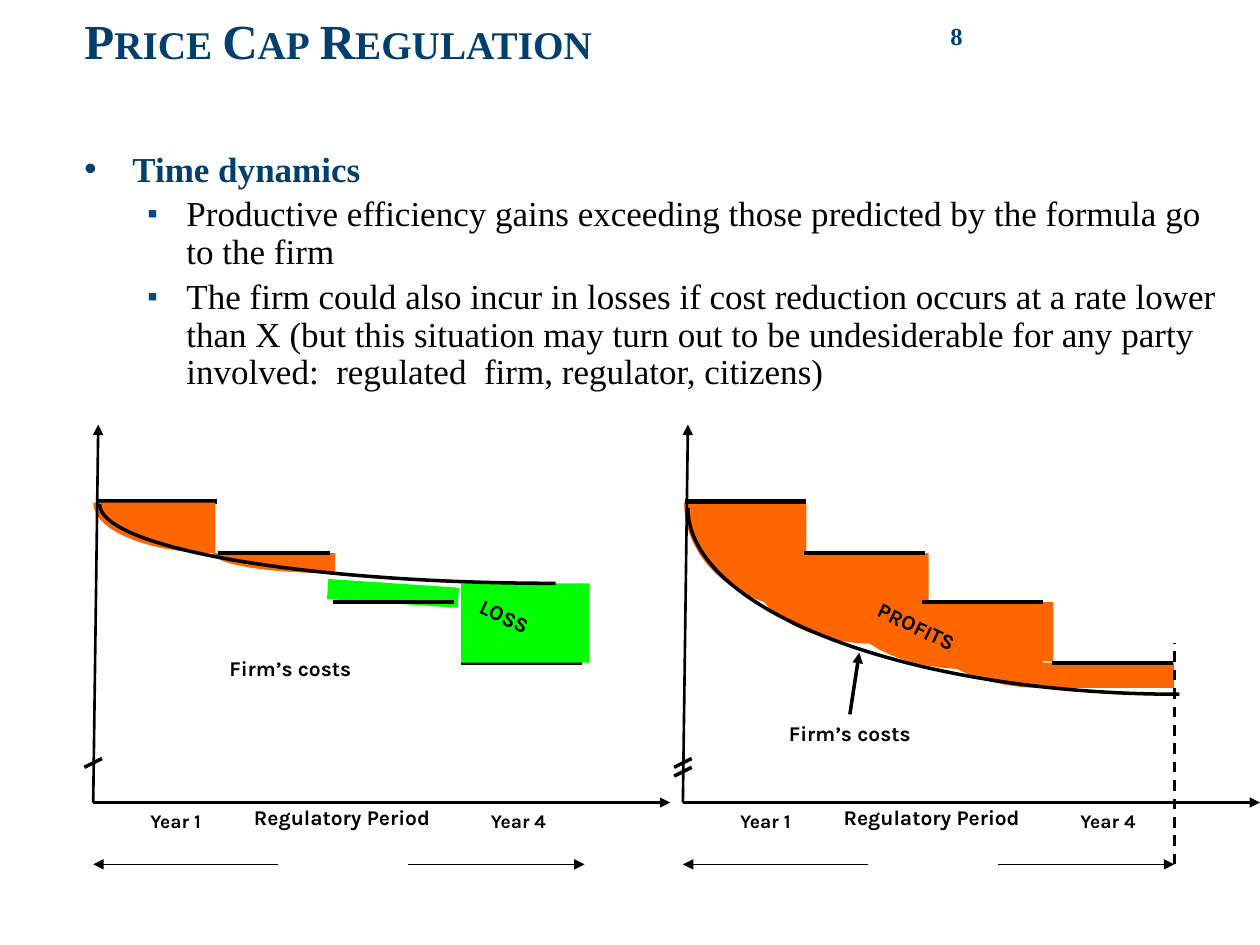
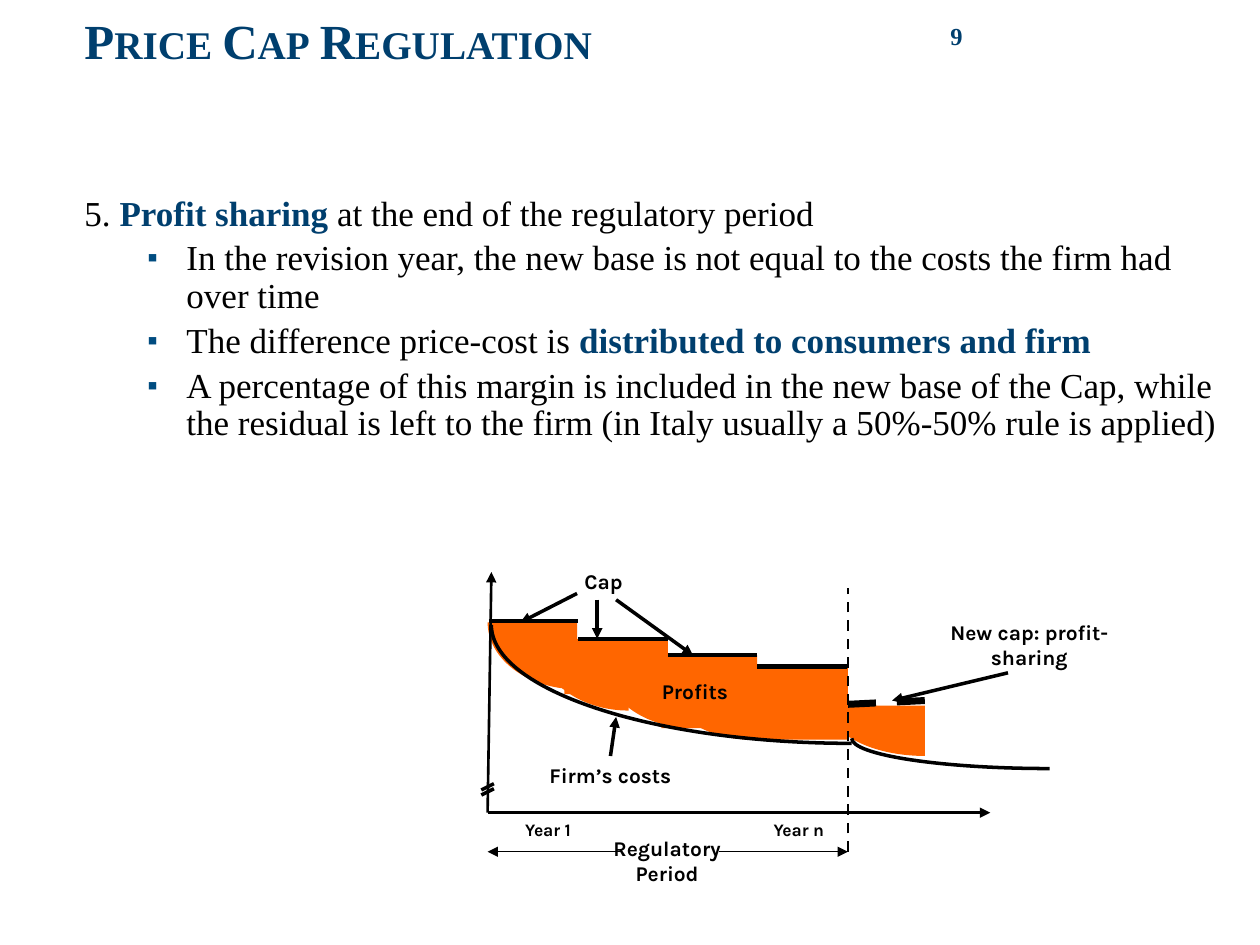
from dataclasses import dataclass

from lxml import etree
from pptx import Presentation
from pptx.dml.color import RGBColor
from pptx.enum.dml import MSO_LINE
from pptx.enum.shapes import MSO_CONNECTOR, MSO_SHAPE
from pptx.enum.text import MSO_ANCHOR, MSO_AUTO_SIZE, PP_ALIGN
from pptx.oxml.ns import qn
from pptx.util import Inches, Pt

STRAIGHT = MSO_CONNECTOR.STRAIGHT
RECTANGLE = MSO_SHAPE.RECTANGLE
DASH = MSO_LINE.DASH
TOP = MSO_ANCHOR.TOP
NO_FIT = MSO_AUTO_SIZE.NONE
LEFT, CENTER, RIGHT = PP_ALIGN.LEFT, PP_ALIGN.CENTER, PP_ALIGN.RIGHT

NAVY, BULLET_BLUE, BLACK = "003F6E", "004C80", "000000"
ORANGE, GREEN = "FF6600", "00FF00"
SERIF, LABEL_FONT = "Times New Roman", "Karla"
ARC_PULL = 0.55


@dataclass
class Box:
    """A rectangle in inches."""
    x: float
    y: float
    w: float
    h: float


@dataclass
class Line:
    """A straight line in inches, with its weight in points."""
    x1: float
    y1: float
    x2: float
    y2: float
    weight: float = 2
    arrow: bool = False
    dashed: bool = False


@dataclass
class Label:
    """A centred bold label."""
    text: str
    box: Box
    size: float = 12
    rotation: float = 0


@dataclass
class Item:
    """A list paragraph whose runs pair a text with its emphasis."""
    runs: list[tuple[str, bool]]
    level: int = 1
    bullet: str = "▪"


@dataclass
class Axes:
    """Axes of a cost diagram with its regulatory period below."""
    x: float
    y: float
    top: float
    lean: float
    width: float
    tick: float
    tick_ys: list[float]
    ruler_y: float
    ruler: tuple[float, float, float]
    years: list[Label]
    period: Label


def rgb(value: str) -> RGBColor:
    """Turn a hex string into a colour."""
    return RGBColor.from_string(value)


def style_run(r, font: str, size: float, color: str, bold: bool) -> None:
    """Format one run."""
    r.font.name, r.font.size, r.font.bold = font, Pt(size), bold
    r.font.color.rgb = rgb(color)


def place(shape, box: Box) -> None:
    """Move and size a shape."""
    shape.left, shape.top = Inches(box.x), Inches(box.y)
    shape.width, shape.height = Inches(box.w), Inches(box.h)


def clear_frame(tf) -> None:
    """Remove insets and fitting from a text frame and anchor it at the top."""
    tf.margin_left = tf.margin_right = tf.margin_top = tf.margin_bottom = 0
    tf.auto_size, tf.vertical_anchor = NO_FIT, TOP


def add_bullet(pPr, char: str, level: int) -> None:
    """Give a paragraph its bullet, or none."""
    if not char:
        etree.SubElement(pPr, qn("a:buNone"))
        return
    if level:
        color = etree.SubElement(pPr, qn("a:buClr"))
        etree.SubElement(color, qn("a:srgbClr")).set("val", BULLET_BLUE)
        etree.SubElement(pPr, qn("a:buSzPct")).set("val", "85000")
    etree.SubElement(pPr, qn("a:buChar")).set("char", char)


def write_list(tf, items: list[Item]) -> None:
    """Fill the body with list paragraphs."""
    for i, item in enumerate(items):
        p = tf.add_paragraph() if i else tf.paragraphs[0]
        p.level, p.alignment, p.space_before = item.level, LEFT, Pt(4)
        p.line_spacing = 0.9 if item.level else 1.0
        margin, hang = (0.81, 0.31) if item.level else (0.38, 0.38)
        pPr = p._p.get_or_add_pPr()
        pPr.set("marL", str(Inches(margin)))
        pPr.set("indent", str(-Inches(hang)))
        add_bullet(pPr, item.bullet, item.level)
        for text, strong in item.runs:
            r = p.add_run()
            r.text = text
            style_run(r, SERIF, 20, NAVY if strong else BLACK, strong)


def add_page(prs, number: int, list_inset: float, items: list[Item]):
    """Add a slide with title, page number and list."""
    s = prs.slides.add_slide(prs.slide_layouts[1])
    title, body = s.shapes.title, s.placeholders[1]
    place(title, Box(0.67, 0.08, 6.5, 0.92))
    clear_frame(title.text_frame)
    title.text_frame.text = "Price Cap Regulation"
    p = title.text_frame.paragraphs[0]
    p.alignment = LEFT
    style_run(p.runs[0], SERIF, 28, NAVY, True)
    p.runs[0]._r.get_or_add_rPr().set("cap", "small")

    place(body, Box(0.67, 1.17, 9, 5.42))
    clear_frame(body.text_frame)
    body.text_frame.margin_top = Inches(list_inset)
    write_list(body.text_frame, items)

    page = s.shapes.add_textbox(Inches(7.53), Inches(0.17), Inches(1.29), Inches(0.24))
    clear_frame(page.text_frame)
    page.text_frame.margin_right = Inches(1.18)
    page.text_frame.word_wrap = False
    page.text_frame.text = str(number)
    p = page.text_frame.paragraphs[0]
    p.alignment = RIGHT
    style_run(p.runs[0], SERIF, 14, NAVY, True)
    return s


def add_label(s, label: Label):
    """Draw a label and return its text box."""
    sp = s.shapes.add_textbox(0, 0, 0, 0)
    place(sp, label.box)
    sp.rotation = label.rotation
    tf = sp.text_frame
    tf.word_wrap = True
    tf.text = label.text
    p = tf.paragraphs[0]
    p.alignment = CENTER
    style_run(p.runs[0], LABEL_FONT, label.size, BLACK, True)
    return sp


def add_line(s, line: Line):
    """Draw a straight line or arrow."""
    ends = (Inches(v) for v in (line.x1, line.y1, line.x2, line.y2))
    c = s.shapes.add_connector(STRAIGHT, *ends)
    c.line.color.rgb = rgb(BLACK)
    c.line.width = Pt(line.weight)
    if line.dashed:
        c.line.dash_style = DASH
    if line.arrow:
        etree.SubElement(c.line._get_or_add_ln(), qn("a:tailEnd")).set("type", "triangle")
    etree.SubElement(c._element.spPr, qn("a:effectLst"))
    return c


def add_pointer(s, label: Label, x: float, y: float) -> None:
    """Draw a label and an arrow from the middle of its top side."""
    box = label.box
    sp = add_label(s, label)
    arrow = add_line(s, Line(box.x + box.w / 2, box.y, x, y, arrow=True))
    arrow.begin_connect(sp, 0)


def paint(sp, color: str) -> None:
    """Fill a shape and leave it without line and shadow."""
    sp.shadow.inherit = False
    sp.fill.solid()
    sp.fill.fore_color.rgb = rgb(color)
    sp.line.fill.background()


def add_block(s, box: Box, color: str, rotation: float = 0) -> None:
    """Draw a plain filled rectangle."""
    sp = s.shapes.add_shape(RECTANGLE, 0, 0, 0, 0)
    place(sp, box)
    sp.rotation = rotation
    paint(sp, color)


def add_arc(s, box: Box, filled: bool) -> None:
    """Draw the lower left quarter of an ellipse as a wedge or a curve."""
    left, top, w, h = (Inches(v) for v in (box.x, box.y, box.w, box.h))
    corners = [(left + w, top + h)] + ([(left + w, top)] if filled else [])
    builder = s.shapes.build_freeform(left, top)
    builder.add_line_segments(corners, close=filled)
    sp = builder.convert_to_shape()
    chord = next(sp._element.iter(qn("a:lnTo")))
    curve = etree.Element(qn("a:cubicBezTo"))
    for x, y in ((0, ARC_PULL * h), ((1 - ARC_PULL) * w, h), (w, h)):
        pt = etree.SubElement(curve, qn("a:pt"))
        pt.set("x", str(round(x)))
        pt.set("y", str(round(y)))
    chord.getparent().replace(chord, curve)
    if filled:
        paint(sp, ORANGE)
    else:
        sp.shadow.inherit = False
        sp.fill.background()
        sp.line.color.rgb = rgb(BLACK)
        sp.line.width = Pt(2)


def add_caps(s, caps: list[tuple[float, float]], width: float) -> None:
    """Draw the price cap steps."""
    for x, y in caps:
        add_line(s, Line(x, y, x + width, y, 2.5))


def add_axes(s, a: Axes) -> None:
    """Draw axes, axis breaks, period ruler and their labels."""
    add_line(s, Line(a.x, a.y, a.x + a.width, a.y, 1.5, arrow=True))
    add_line(s, Line(a.x, a.y, a.x + a.lean, a.top, 1.5, arrow=True))
    for y in a.tick_ys:
        add_line(s, Line(a.x - a.tick, y, a.x + a.tick, y - a.tick))
    gap_start, gap_end, end = (a.x + offset for offset in a.ruler)
    for start, tip in ((gap_start, a.x), (gap_end, end)):
        add_line(s, Line(start, a.ruler_y, tip, a.ruler_y, 0.75, arrow=True))
    for label in [*a.years, a.period]:
        add_label(s, label)


def four_year_axes(x: float, tick_ys: list[float]) -> Axes:
    """Axes of a four-year diagram starting at x."""
    years = [Label(text, Box(x + dx, 6.37, 1.03, 0.29), 11)
             for text, dx in (("Year 1", 0.14), ("Year 4", 2.86))]
    return Axes(x, 6.37, 3.37, 0.04, 4.58, 0.07, tick_ys, 6.86, (1.47, 2.5, 3.9),
                years, Label("Regulatory Period", Box(x + 1, 6.34, 1.95, 0.3)))


def build_time_dynamics(prs) -> None:
    """Build the slide comparing losses and profits."""
    s = add_page(prs, 8, 0, [
        Item([("Time dynamics", True)], 0, "•"),
        Item([("Productive efficiency gains exceeding those predicted by the formula "
               "go to the firm", False)]),
        Item([("The firm could also incur in losses if cost reduction occurs at a rate "
               "lower than X (but this situation may turn out to be undesiderable for any "
               "party involved:  regulated  firm, regulator, citizens)", False)]),
    ])
    for box in (Box(8.21, 5.26, 1.11, 0.2), Box(7.32, 4.78, 1.04, 0.47),
                Box(6.26, 4.39, 1.11, 0.51)):
        add_block(s, box, ORANGE)
    for box in (Box(5.43, 3.99, 0.97, 0.84), Box(5.98, 4.55, 0.97, 0.56),
                Box(6.69, 4.78, 0.98, 0.53), Box(7.31, 4.94, 0.97, 0.52)):
        add_arc(s, box, True)
    add_axes(s, four_year_axes(5.42, [6.09, 6.16]))
    add_arc(s, Box(5.46, 4.03, 3.9, 1.48), False)
    add_line(s, Line(9.32, 6.86, 9.32, 5.1, 1.5, dashed=True))
    add_caps(s, [(5.44, 3.98), (6.38, 4.39), (7.32, 4.78), (8.35, 5.26)], 0.96)
    add_pointer(s, Label("Firm’s costs", Box(5.77, 5.67, 1.95, 0.3)), 6.82, 5.18)
    add_label(s, Label("PROFITS", Box(6.38, 4.82, 1.79, 0.3), rotation=25.7))

    add_caps(s, [(0.76, 3.98), (3.66, 5.26)], 0.96)
    add_block(s, Box(3.66, 4.63, 1.02, 0.63), GREEN)
    add_block(s, Box(2.6, 4.63, 1.04, 0.16), GREEN, 3.8)
    for box in (Box(0.74, 3.99, 0.97, 0.4), Box(1.69, 4.39, 0.97, 0.16)):
        add_arc(s, box, True)
    add_axes(s, four_year_axes(0.74, [6.09]))
    add_arc(s, Box(0.79, 4, 3.62, 0.63), False)
    add_caps(s, [(1.73, 4.39)], 0.89)
    add_caps(s, [(2.64, 4.78)], 0.96)
    add_label(s, Label("Firm’s costs", Box(1.33, 5.15, 1.95, 0.3)))
    add_label(s, Label("LOSS", Box(3.11, 4.74, 1.79, 0.3), rotation=25.7))


def build_profit_sharing(prs) -> None:
    """Build the slide on sharing profits after the period."""
    s = add_page(prs, 9, 0.35, [
        Item([("5. ", False), ("Profit sharing ", True),
              ("at the end of the regulatory period", False)], 0, ""),
        Item([("In the revision year, the new base is not equal to the costs the firm "
               "had over time", False)]),
        Item([("The difference price-cost is ", False),
              ("distributed to consumers and firm", True)]),
        Item([("A percentage of this margin is included in the new base of the Cap, while "
               "the residual is left to the firm (in Italy usually a 50%-50% rule is "
               "applied)", False)]),
    ])
    for box in (Box(5.91, 5.29, 0.82, 0.58), Box(5.25, 5.2, 0.76, 0.58),
                Box(4.48, 5.07, 0.82, 0.44)):
        add_block(s, box, ORANGE)
    for x, y in ((3.87, 4.94), (4.28, 5.11), (4.79, 5.25), (5.25, 5.34)):
        add_arc(s, Box(x, y, 0.71, 0.53), True)
    add_arc(s, Box(6.57, 5.6, 0.77, 0.4), True)
    years = [Label(text, Box(x, 6.45, 0.76, 0.27), 10)
             for text, x in (("Year 1", 3.97), ("Year n", 5.96))]
    add_axes(s, Axes(3.87, 6.45, 4.54, 0.03, 3.99, 0.05, [6.27, 6.31], 6.76,
                     (1.07, 1.84, 2.86), years,
                     Label("Regulatory Period", Box(4.58, 6.58, 1.43, 0.5))))
    for box in (Box(3.9, 4.96, 2.86, 0.94), Box(6.76, 5.86, 1.57, 0.24)):
        add_arc(s, box, False)
    add_caps(s, [(3.88, 4.93), (4.59, 5.07), (5.3, 5.2), (6.01, 5.29)], 0.71)
    for line in (Line(6.73, 5.59, 7.34, 5.56, 4, dashed=True),
                 Line(6.73, 6.76, 6.73, 4.67, 1.5, dashed=True),
                 Line(4.74, 4.76, 4.74, 5.07, arrow=True),
                 Line(4.89, 4.76, 5.5, 5.2, arrow=True),
                 Line(4.58, 4.71, 4.13, 4.94, arrow=True),
                 Line(8, 5.34, 7.08, 5.56, arrow=True)):
        add_line(s, line)
    add_pointer(s, Label("Firm’s costs", Box(4.13, 6, 1.43, 0.3)), 4.89, 5.69)
    for label in (Label("Cap", Box(4.33, 4.46, 0.92, 0.3)),
                  Label("Profits", Box(5.04, 5.34, 0.95, 0.3)),
                  Label("New cap: profit-sharing", Box(7.34, 4.87, 1.66, 0.5))):
        add_label(s, label)


prs = Presentation()
prs.slide_width, prs.slide_height = Inches(10), Inches(7.5)
build_time_dynamics(prs)
build_profit_sharing(prs)
prs.save("out.pptx")
